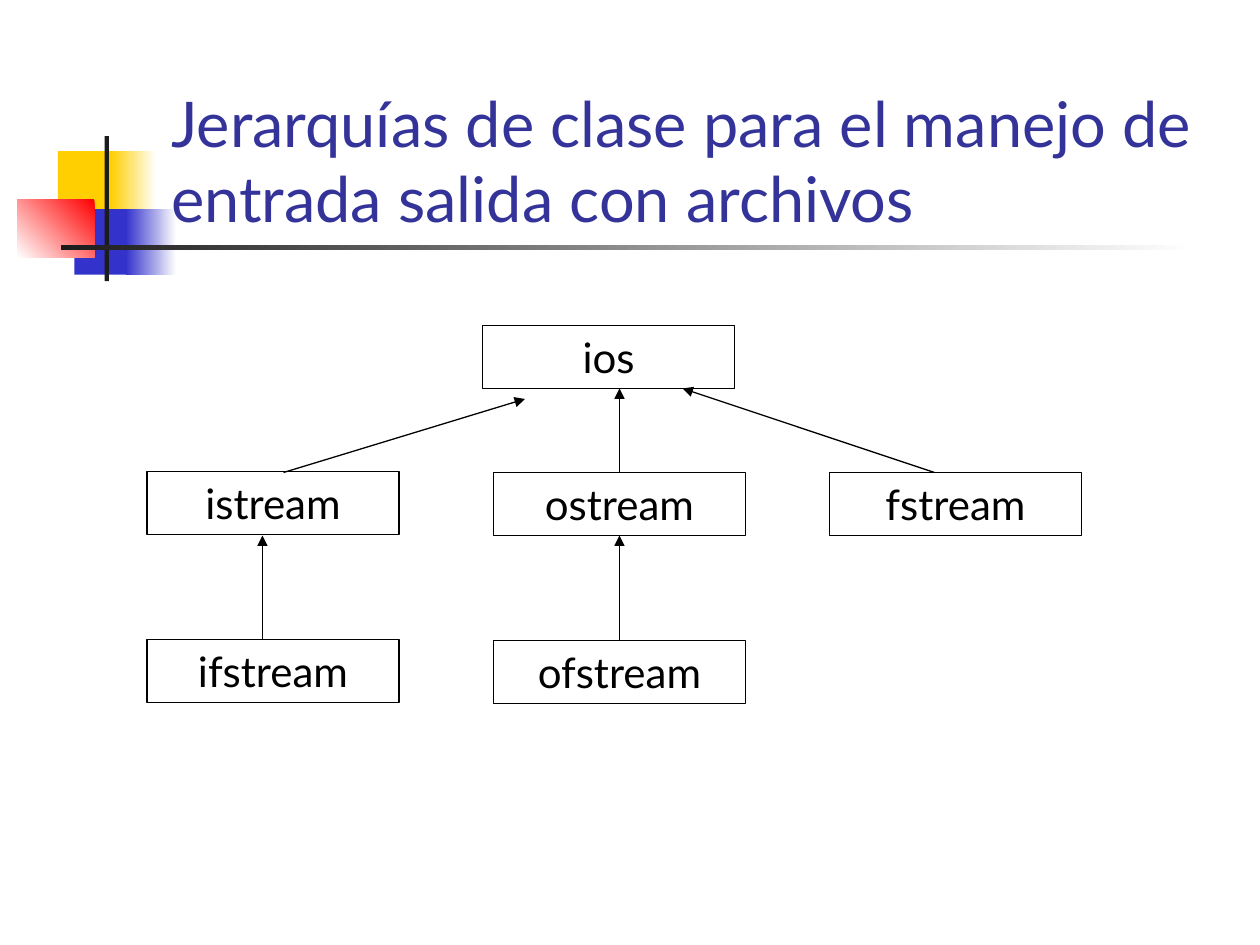
"""Build the slide showing the class hierarchy for file input and output."""
from dataclasses import dataclass
from typing import Optional

from lxml import etree
from pptx import Presentation
from pptx.dml.color import RGBColor
from pptx.enum import shapes, text
from pptx.oxml import ns
from pptx.util import Pt


@dataclass(frozen=True)
class Theme:
    font: str = "Lato"
    title_size: float = 36
    class_size: float = 24
    line_width: float = 0.75
    title: str = "333399"
    ink: str = "000000"
    paper: str = "FFFFFF"
    yellow: str = "FFCF01"
    blue: str = "3333CC"
    red: str = "FF0000"
    dark: str = "1C1C1C"


@dataclass(frozen=True)
class Ornament:
    left: float
    top: float
    width: float
    height: float
    color: str
    fade_to: Optional[str] = None
    angle: float = 180


@dataclass(frozen=True)
class ClassBox:
    name: str
    left: float
    top: float


@dataclass(frozen=True)
class Inheritance:
    child: str
    parent: str
    start: tuple[float, float]
    end: tuple[float, float]
    joins_child: bool = False
    joins_parent: bool = False


THEME = Theme()
BOX_WIDTH, BOX_HEIGHT = 144, 36
ORNAMENTS = (
    Ornament(33.1, 86.4, 34.6, 37.4, THEME.yellow),
    Ornament(63.4, 86.4, 25.9, 37.4, THEME.paper, THEME.yellow),
    Ornament(42.5, 119.5, 33.1, 37.4, THEME.blue),
    Ornament(72, 119.5, 28.8, 37.4, THEME.paper, THEME.blue),
    Ornament(10, 113.8, 44, 33.2, THEME.red, THEME.paper, 225),
    Ornament(59.8, 77.8, 2.5, 82.8, THEME.dark),
    Ornament(34.6, 140.2, 648, 2.5, THEME.paper, THEME.dark),
)
CLASSES = (
    ClassBox("ios", 275.8, 186),
    ClassBox("istream", 84, 269.3),
    ClassBox("ostream", 282, 270),
    ClassBox("fstream", 474, 270),
    ClassBox("ifstream", 84, 365.3),
    ClassBox("ofstream", 282, 366),
)
INHERITANCES = (
    Inheritance("ofstream", "ostream", (354, 366), (354, 306), True, True),
    Inheritance("ifstream", "istream", (150, 366), (150, 306)),
    Inheritance("istream", "ios", (162, 270), (300, 228)),
    Inheritance("ostream", "ios", (354, 270), (354, 222), True),
    Inheritance("fstream", "ios", (534, 270), (390, 222)),
)


def style_runs(paragraph, size: float, color: str) -> None:
    """Give the runs of a paragraph the theme font, a size and a colour."""
    for run in paragraph.runs:
        run.font.name = THEME.font
        run.font.size = Pt(size)
        run.font.color.rgb = RGBColor.from_string(color)


def add_rectangle(slide, left: float, top: float, width: float, height: float):
    """Add a rectangle without shadow."""
    rectangle = slide.shapes.add_shape(
        shapes.MSO_SHAPE.RECTANGLE, Pt(left), Pt(top), Pt(width), Pt(height))
    rectangle.shadow.inherit = False
    return rectangle


def draw_ornament(slide, ornament: Ornament) -> None:
    """Draw a plain or fading rectangle of the title decoration."""
    block = add_rectangle(slide, ornament.left, ornament.top,
                          ornament.width, ornament.height)
    block.line.fill.background()
    if ornament.fade_to is None:
        block.fill.solid()
        block.fill.fore_color.rgb = RGBColor.from_string(ornament.color)
        return
    block.fill.gradient()
    block.fill.gradient_angle = ornament.angle
    for stop, color in zip(block.fill.gradient_stops,
                           (ornament.color, ornament.fade_to)):
        stop.color.rgb = RGBColor.from_string(color)


def write_title(slide, wording: str) -> None:
    """Place the title in front of the decoration."""
    title = slide.shapes.title
    title.left, title.top, title.width, title.height = map(Pt, (90.7, 48.2, 613.4, 90))
    frame = title.text_frame
    frame.text = wording
    frame.word_wrap = True
    frame.auto_size = text.MSO_AUTO_SIZE.NONE
    frame.vertical_anchor = text.MSO_ANCHOR.BOTTOM
    frame.paragraphs[0].alignment = text.PP_ALIGN.LEFT
    style_runs(frame.paragraphs[0], THEME.title_size, THEME.title)
    title.element.getparent().append(title.element)


def draw_class(slide, box: ClassBox):
    """Draw a class as an outlined rectangle with its name."""
    rectangle = add_rectangle(slide, box.left, box.top, BOX_WIDTH, BOX_HEIGHT)
    rectangle.fill.background()
    rectangle.line.color.rgb = RGBColor.from_string(THEME.ink)
    rectangle.line.width = Pt(THEME.line_width)
    frame = rectangle.text_frame
    frame.text = box.name
    frame.word_wrap = True
    frame.auto_size = text.MSO_AUTO_SIZE.SHAPE_TO_FIT_TEXT
    frame.vertical_anchor = text.MSO_ANCHOR.TOP
    label = frame.paragraphs[0]
    label.alignment = text.PP_ALIGN.CENTER
    label.space_before = Pt(15)
    style_runs(label, THEME.class_size, THEME.ink)
    return rectangle


def draw_inheritance(slide, link: Inheritance, drawn: dict) -> None:
    """Draw an arrow from a derived class to its base class."""
    arrow = slide.shapes.add_connector(
        shapes.MSO_CONNECTOR.STRAIGHT, *map(Pt, link.start + link.end))
    if link.joins_child:
        arrow.begin_connect(drawn[link.child], 0)
    if link.joins_parent:
        arrow.end_connect(drawn[link.parent], 2)
    arrow.line.color.rgb = RGBColor.from_string(THEME.ink)
    arrow.line.width = Pt(THEME.line_width)
    properties = arrow.element.spPr
    etree.SubElement(properties.find(ns.qn("a:ln")), ns.qn("a:tailEnd"), type="triangle")
    etree.SubElement(properties, ns.qn("a:effectLst"))


def main() -> None:
    """Build and save the presentation."""
    deck = Presentation()
    deck.slide_width, deck.slide_height = Pt(720), Pt(540)
    slide = deck.slides.add_slide(deck.slide_layouts[5])
    for ornament in ORNAMENTS:
        draw_ornament(slide, ornament)
    write_title(slide, "Jerarquías de clase para el manejo de entrada salida con archivos")
    drawn = {box.name: draw_class(slide, box) for box in CLASSES}
    for link in INHERITANCES:
        draw_inheritance(slide, link, drawn)
    deck.save("out.pptx")


if __name__ == "__main__":
    main()
